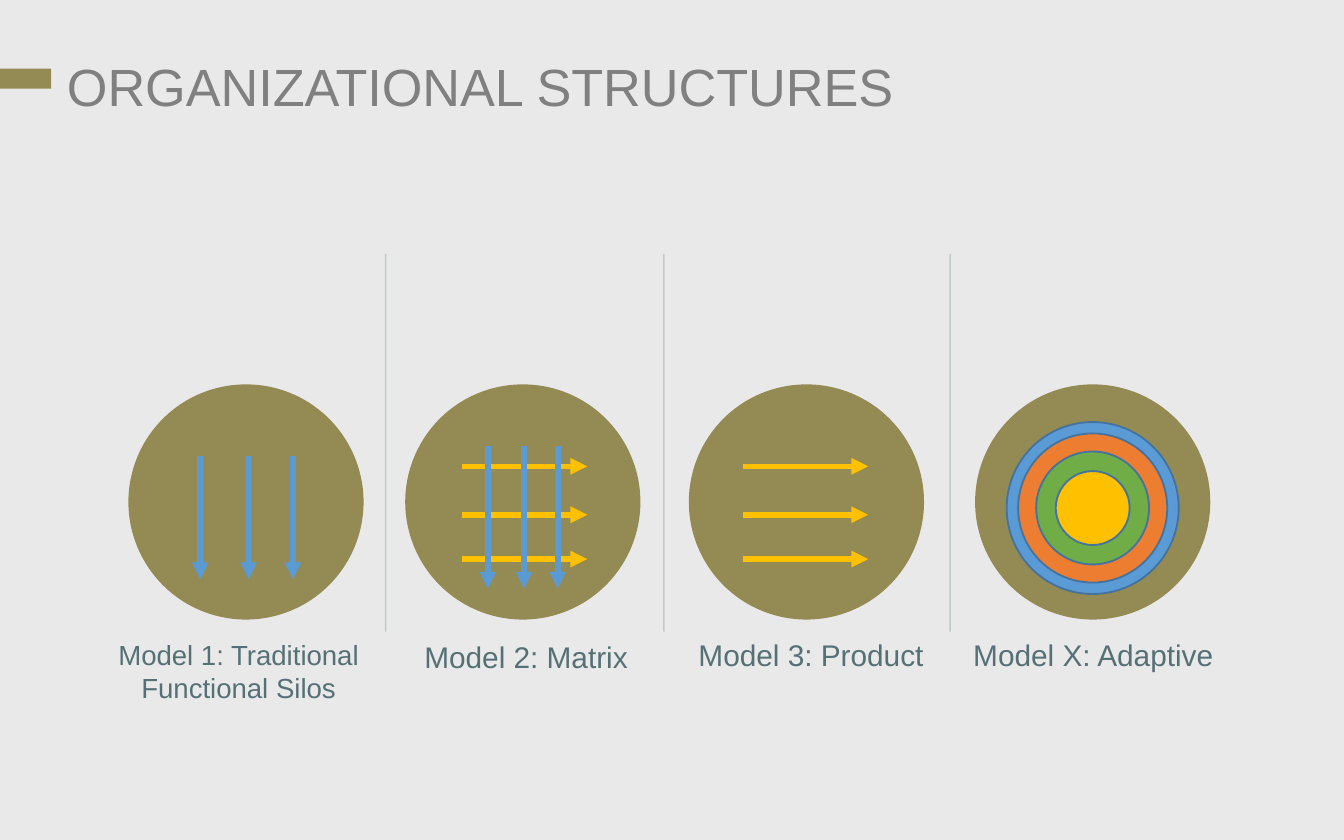
from pptx import Presentation
from pptx.dml.color import RGBColor
from pptx.enum.shapes import MSO_CONNECTOR, MSO_SHAPE
from pptx.enum.text import MSO_ANCHOR, PP_ALIGN
from pptx.oxml.ns import qn
from pptx.util import Inches, Pt
from lxml.etree import SubElement

COLORS = {
    "background": "E9E9E9", "olive": "948A54", "title": "808080",
    "slate": "567176", "blue": "5B9BD5", "orange": "ED7D31",
    "green": "70AD47", "gold": "FFC000", "outline": "43739E",
}


def rgb(name):
    return RGBColor.from_string(COLORS[name])


class SlideBuilder:
    font = "Arial"

    def __init__(self, slide):
        self.s = slide
        fill = slide.background.fill
        fill.solid()
        fill.fore_color.rgb = rgb("background")

    def shape(self, kind, x, y, w, h, color, outline=None):
        sp = self.s.shapes.add_shape(kind, Inches(x), Inches(y), Inches(w), Inches(h))
        sp.shadow.inherit = False
        sp.fill.solid()
        sp.fill.fore_color.rgb = rgb(color)
        if outline:
            sp.line.color.rgb = rgb(outline)
            sp.line.width = Pt(1)
        else:
            sp.line.fill.background()

    def circle(self, cx, cy, size, color, outline=None):
        self.shape(MSO_SHAPE.OVAL, cx - size / 2, cy - size / 2, size, size, color, outline)

    def line(self, x1, y1, x2, y2, color, width, alpha=None, arrow=False):
        cx = self.s.shapes.add_connector(
            MSO_CONNECTOR.STRAIGHT, Inches(x1), Inches(y1), Inches(x2), Inches(y2))
        cx.line.color.rgb = rgb(color)
        cx.line.width = Pt(width)
        ln = cx.line._get_or_add_ln()
        if alpha:
            SubElement(ln.find(".//" + qn("a:srgbClr")), qn("a:alpha"), val=str(alpha * 1000))
        if arrow:
            SubElement(ln, qn("a:tailEnd"), type="triangle")
        SubElement(cx._element.spPr, qn("a:effectLst"))

    def arrows_down(self, xs, top, bottom):
        for x in xs:
            self.line(x, top, x, bottom, "blue", 3, arrow=True)

    def arrows_right(self, left, ys):
        for y in ys:
            self.line(left, y, left + 0.93, y, "gold", 3, arrow=True)

    def text(self, x, y, w, h, text, size, color, align=PP_ALIGN.LEFT, spacing=None, before=0):
        tf = self.s.shapes.add_textbox(Inches(x), Inches(y), Inches(w), Inches(h)).text_frame
        tf.word_wrap = True
        tf.vertical_anchor = MSO_ANCHOR.TOP
        p = tf.paragraphs[0]
        p.alignment = align
        p.space_before = Pt(before)
        if spacing:
            p.line_spacing = Pt(spacing)
        r = p.add_run()
        r.text = text
        r.font.name = self.font
        r.font.size = Pt(size)
        r.font.color.rgb = rgb(color)


def main():
    prs = Presentation()
    prs.slide_width, prs.slide_height = Inches(10), Inches(6.25)
    b = SlideBuilder(prs.slides.add_slide(prs.slide_layouts[6]))

    b.shape(MSO_SHAPE.RECTANGLE, -0.01, 0.51, 0.39, 0.15, "olive")
    for cx in (1.83, 3.89, 6, 8.13):
        b.circle(cx, 3.735, 1.75, "olive")
    for x in (2.87, 4.94, 7.07):
        b.line(x, 1.89, x, 4.7, "slate", 0.75, alpha=26)
    b.text(0.4, 0.5, 9, 1.04, "ORGANIZATIONAL STRUCTURES", 28, "title", spacing=23)

    rows = (3.47, 3.83, 4.16)
    b.arrows_right(3.44, rows)
    b.arrows_down((3.63, 3.9, 4.15), 3.32, 4.38)
    b.arrows_down((1.49, 1.85, 2.18), 3.39, 4.31)
    b.arrows_right(5.53, rows)
    for size, color in ((1.28, "blue"), (1.11, "orange"), (0.84, "green"), (0.55, "gold")):
        b.circle(8.13, 3.78, size, color, "outline")

    labels = (
        (0.72, 4.7, 2.11, "Model 1: Traditional Functional Silos", 14.8),
        (2.86, 4.7, 2.11, "Model 2: Matrix", 16),
        (5, 4.69, 2.07, "Model 3: Product", 16),
        (7.1, 4.69, 2.07, "Model X: Adaptive", 16),
    )
    for x, y, w, label, size in labels:
        b.text(x, y, w, 0.77, label, size, "slate", PP_ALIGN.CENTER, before=2)

    prs.save("out.pptx")


if __name__ == "__main__":
    main()
